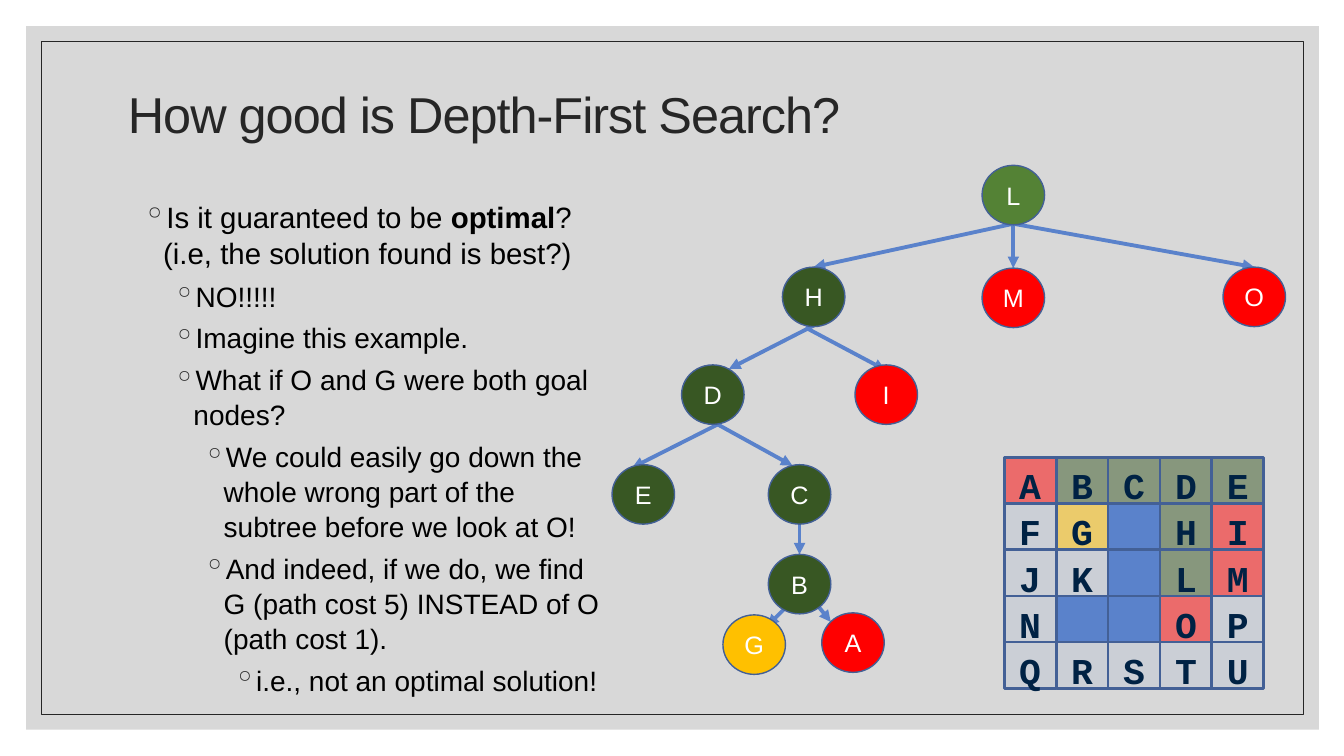
"""Build the slide on whether depth-first search is optimal."""
from lxml import etree
from pptx import Presentation
from pptx.dml.color import RGBColor
from pptx.enum.shapes import MSO_CONNECTOR, MSO_SHAPE
from pptx.enum.text import MSO_ANCHOR, PP_ALIGN
from pptx.oxml.ns import qn
from pptx.util import Inches, Pt

RECTANGLE = MSO_SHAPE.RECTANGLE
ELLIPSE = MSO_SHAPE.OVAL
STRAIGHT = MSO_CONNECTOR.STRAIGHT
MIDDLE = MSO_ANCHOR.MIDDLE
TOP = MSO_ANCHOR.TOP
CENTER = PP_ALIGN.CENTER

INK, OUTLINE, BLUE = "262626", "436096", "5A82CB"
GREEN, PATH, RED, GOLD = "548235", "385723", "FF0000", "FFC000"
NODE_W, NODE_H = 0.62, 0.59
CELL_W, CELL_H = 2.06 / 4, 1.83 / 4

POINTS = [
    (1, 21, [("Is it guaranteed to be ", False), ("optimal", True),
             ("? (i.e, the solution found is best?)", False)]),
    (2, 20, [("NO!!!!!", False)]),
    (2, 20, [("Imagine this example.", False)]),
    (2, 20, [("What if O and G were both goal nodes?", False)]),
    (3, 20, [("We could easily go down the whole wrong part of the subtree "
              "before we look at O!", False)]),
    (3, 20, [("And indeed, if we do, we find G (path cost 5) INSTEAD of O "
              "(path cost 1).", False)]),
    (4, 20, [("i.e., not an optimal solution!", False)]),
]
NODES = [
    ("L", 9.74, 1.64, GREEN), ("H", 7.76, 2.65, PATH),
    ("M", 9.74, 2.66, RED), ("O", 12.13, 2.65, RED),
    ("D", 6.76, 3.62, PATH), ("I", 8.48, 3.62, RED),
    ("E", 6.07, 4.61, PATH), ("C", 7.62, 4.61, PATH),
    ("B", 7.62, 5.5, PATH), ("A", 8.15, 6.08, RED),
    ("G", 7.17, 6.1, GOLD),
]
EDGES = [
    (8.07, 3.23, 7.23, 3.66), (7.99, 3.25, 8.78, 3.67),
    (10.05, 2.22, 8.07, 2.65), (10.05, 2.22, 10.05, 2.66),
    (10.05, 2.22, 12.44, 2.65), (7.12, 4.21, 6.27, 4.64),
    (7.08, 4.19, 7.86, 4.62), (7.93, 5.2, 7.93, 5.5),
    (8.12, 6.02, 8.24, 6.17), (7.78, 6.04, 7.61, 6.21),
]
MAZE = ["ABCDE", "FG HI", "JK LM", "N  OP", "QRSTU"]
CELL_FILLS = {
    **dict.fromkeys("BCDEHL", (PATH, 50)),
    **dict.fromkeys("AIMO", (RED, 50)),
    "G": (GOLD, 50),
    " ": (BLUE, 100),
}


def rgb(value):
    """Turn a hex string into a colour."""
    return RGBColor.from_string(value)


def write(paragraph, text, size=18, color="000000", font="Arial", bold=False,
          spacing=None):
    """Add one formatted run to a paragraph."""
    run = paragraph.add_run()
    run.text = text
    run.font.size = Pt(size)
    run.font.name = font
    run.font.bold = bold
    run.font.color.rgb = rgb(color)
    if spacing is not None:
        run.font._element.set("spc", str(round(spacing * 100)))


class SearchSlide:
    """Hold the current slide and its drawing style."""

    def __init__(self, presentation):
        """Add a blank white slide."""
        self.slide = presentation.slides.add_slide(presentation.slide_layouts[6])
        self.shapes = self.slide.shapes
        background = self.slide.background.fill
        background.solid()
        background.fore_color.rgb = rgb("FFFFFF")

    def start_group(self):
        """Send the following elements into a new group."""
        self.shapes = self.slide.shapes.add_group_shape().shapes

    def shape(self, kind, left, top, width, height, fill=None, opacity=100,
              line=None, line_width=1):
        """Draw a preset shape."""
        shape = self.shapes.add_shape(kind, Inches(left), Inches(top),
                                      Inches(width), Inches(height))
        shape.shadow.inherit = False
        if fill:
            shape.fill.solid()
            shape.fill.fore_color.rgb = rgb(fill)
            if opacity < 100:
                color = shape.fill._xPr.find(qn("a:solidFill"))[0]
                etree.SubElement(color, qn("a:alpha"), val=str(opacity * 1000))
        else:
            shape.fill.background()
        if line:
            shape.line.color.rgb = rgb(line)
            shape.line.width = Pt(line_width)
        else:
            shape.line.fill.background()
        return shape

    def label(self, shape, text, inset_top=0, **style):
        """Centre a letter in a shape."""
        frame = shape.text_frame
        frame.margin_left = frame.margin_right = frame.margin_bottom = 0
        frame.margin_top = Inches(inset_top)
        frame.vertical_anchor = MIDDLE
        frame.paragraphs[0].alignment = CENTER
        write(frame.paragraphs[0], text, **style)

    def text_box(self, left, top, width, height, anchor):
        """Add a wrapping text box and return its frame."""
        frame = self.shapes.add_textbox(Inches(left), Inches(top), Inches(width),
                                        Inches(height)).text_frame
        frame.word_wrap = True
        frame.vertical_anchor = anchor
        return frame

    def title(self, text):
        """Write the slide title."""
        heading = self.text_box(1.17, 0.41, 11, 1.5, MIDDLE).paragraphs[0]
        heading.line_spacing = 0.9
        write(heading, text, size=36, color=INK, spacing=-0.7)

    def bullets(self, points):
        """Write the indented list."""
        frame = self.text_box(1.02, 1.91, 5.08, 4.3, TOP)
        for index, (level, size, parts) in enumerate(points):
            point = frame.add_paragraph() if index else frame.paragraphs[0]
            point.level = level
            point.line_spacing = 1.04
            point.space_before = Pt(5 if index else 0)
            properties = point._p.get_or_add_pPr()
            properties.set("marL", str(Inches(0.2 + 0.3 * level)))
            properties.set("indent", str(Inches(-0.2)))
            bullet_color = etree.SubElement(properties, qn("a:buClr"))
            etree.SubElement(bullet_color, qn("a:srgbClr"), val=INK)
            etree.SubElement(properties, qn("a:buChar"), char="◦")
            for text, bold in parts:
                write(point, text, size=size, bold=bold)

    def arrow(self, *ends):
        """Draw an arrow between two points."""
        arrow = self.shapes.add_connector(STRAIGHT, *map(Inches, ends))
        arrow.line.color.rgb = rgb(BLUE)
        arrow.line.width = Pt(2.75)
        etree.SubElement(arrow.line._get_or_add_ln(), qn("a:tailEnd"),
                         type="triangle")
        etree.SubElement(arrow._element.spPr, qn("a:effectLst"))

    def node(self, letter, left, top, fill):
        """Draw one node of the search tree."""
        node = self.shape(ELLIPSE, left, top, NODE_W, NODE_H, fill, line=OUTLINE)
        self.label(node, letter, color="FFFFFF")

    def cell(self, letter, row, column):
        """Draw one cell of the maze."""
        fill, opacity = CELL_FILLS.get(letter, (BLUE, 10))
        cell = self.shape(RECTANGLE, 9.96 + column * CELL_W, 4.54 + row * CELL_H,
                          CELL_W, CELL_H, fill, opacity, OUTLINE, 2)
        if letter != " ":
            self.label(cell, letter, inset_top=0.09, size=26, color="002244",
                       font="Courier New", bold=True)


def main():
    """Assemble and save the slide."""
    presentation = Presentation()
    presentation.slide_width = Inches(13.33)
    presentation.slide_height = Inches(7.5)
    slide = SearchSlide(presentation)
    slide.shape(RECTANGLE, 0.26, 0.26, 12.82, 6.98, "BFBFBF", 60)
    slide.shape(RECTANGLE, 0.41, 0.41, 12.52, 6.68, line=INK, line_width=0.5)
    slide.title("How good is Depth-First Search?")
    slide.bullets(POINTS)
    slide.start_group()
    for edge in EDGES:
        slide.arrow(*edge)
    for node in NODES:
        slide.node(*node)
    slide.start_group()
    for row, letters in enumerate(MAZE):
        for column, letter in enumerate(letters):
            slide.cell(letter, row, column)
    presentation.save("out.pptx")


if __name__ == "__main__":
    main()
